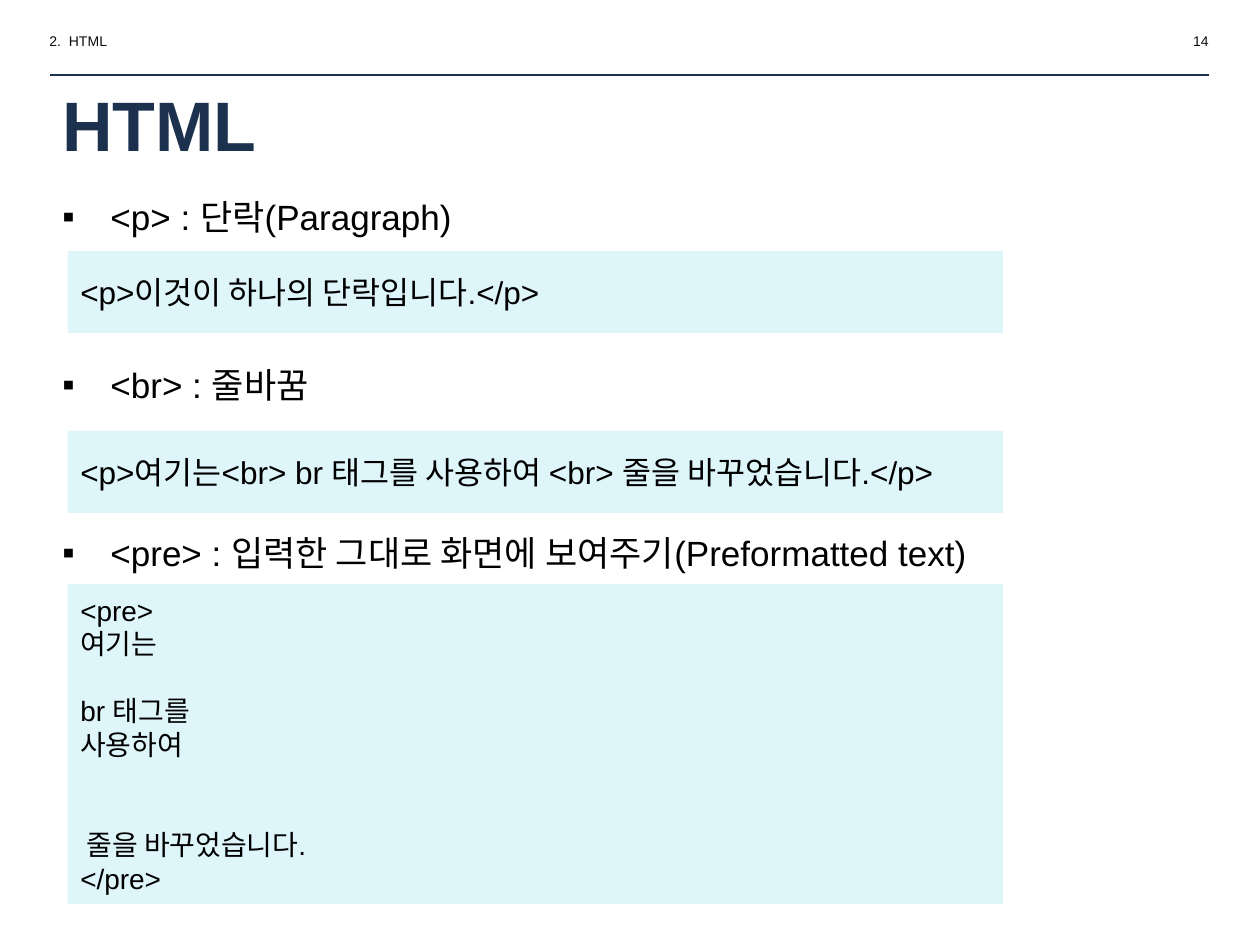
from pptx import Presentation
from pptx.dml.color import RGBColor
from pptx.enum.shapes import MSO_CONNECTOR as Connector, MSO_SHAPE as Shape
from pptx.enum.text import MSO_ANCHOR as Anchor, MSO_AUTO_SIZE as AutoSize, PP_ALIGN as Align
from pptx.oxml.ns import qn
from pptx.util import Emu, Pt
from lxml.etree import SubElement

NAVY = RGBColor(0x1C, 0x31, 0x4E)
BLACK = RGBColor(0, 0, 0)
DARK = RGBColor(0x0C, 0x0C, 0x0C)
PALE = RGBColor(0xDE, 0xF5, 0xFA)


def px(length):
    return Emu(round(length * 914400 / 126))


def add_bullet(para, indent):
    props = para._p.get_or_add_pPr()
    props.set("marL", str(px(indent)))
    props.set("indent", str(-px(indent)))
    color = SubElement(props, qn("a:buClr"))
    SubElement(color, qn("a:srgbClr"), val=str(BLACK))
    SubElement(props, qn("a:buFont"), typeface="Arial")
    SubElement(props, qn("a:buChar"), char="▪")


def write(frame, lines, size, color=BLACK, bold=False, align=Align.LEFT,
          anchor=Anchor.TOP, gaps=None, indent=0):
    frame.word_wrap = True
    frame.vertical_anchor = anchor
    for index, line in enumerate(lines):
        para = frame.paragraphs[0] if index == 0 else frame.add_paragraph()
        para.alignment = align
        if gaps and gaps[index]:
            para.space_before = Pt(gaps[index])
        if indent:
            add_bullet(para, indent)
        span = para.add_run()
        span.text = line
        span.font.name = "Arial"
        span.font.size = Pt(size)
        span.font.bold = bold
        span.font.color.rgb = color


class SlideBuilder:
    def __init__(self, slide):
        self.shapes = slide.shapes

    def text(self, left, top, width, height, lines, size, grow=True, **style):
        box = self.shapes.add_textbox(px(left), px(top), px(width), px(height))
        write(box.text_frame, lines, size, **style)
        box.text_frame.auto_size = AutoSize.SHAPE_TO_FIT_TEXT if grow else AutoSize.NONE

    def rule(self, left, right, y):
        line = self.shapes.add_connector(Connector.STRAIGHT, px(left), px(y), px(right), px(y))
        line.line.color.rgb = NAVY
        line.line.width = Pt(0.75)
        SubElement(line._element.spPr, qn("a:effectLst"))

    def code(self, top, height, lines, size, **style):
        box = self.shapes.add_shape(Shape.RECTANGLE, px(68), px(top), px(935), px(height))
        box.shadow.inherit = False
        box.fill.solid()
        box.fill.fore_color.rgb = PALE
        box.line.fill.background()
        write(box.text_frame, lines, size, anchor=Anchor.MIDDLE, **style)


def main():
    deck = Presentation()
    deck.slide_width, deck.slide_height = px(1260), px(945)
    page = SlideBuilder(deck.slides.add_slide(deck.slide_layouts[6]))

    page.text(37, 26, 218, 30, ["2.  HTML"], 8, color=DARK)
    page.rule(50, 1209, 75)
    page.text(50, 83, 1153, 81, ["HTML"], 40, grow=False, color=NAVY, bold=True,
              anchor=Anchor.MIDDLE)
    page.text(1003, 26, 218, 30, ["14"], 8, color=DARK, align=Align.RIGHT)

    tags = ["<p> : 단락(Paragraph)", "<br> : 줄바꿈",
            "<pre> : 입력한 그대로 화면에 보여주기(Preformatted text)"]
    page.text(50, 189, 1153, 493, tags, 20, gaps=[0, 72, 72], indent=48)

    page.code(251, 82, ["<p>이것이 하나의 단락입니다.</p>"], 18)
    page.code(431, 82, ["<p>여기는<br> br 태그를 사용하여 <br> 줄을 바꾸었습니다.</p>"], 18)
    preformatted = ["<pre>", "여기는", "br 태그를", "사용하여", " 줄을 바꾸었습니다.", "</pre>"]
    page.code(584, 320, preformatted, 16, gaps=[0, 0, 19, 0, 38, 0])

    deck.save("out.pptx")


if __name__ == "__main__":
    main()
